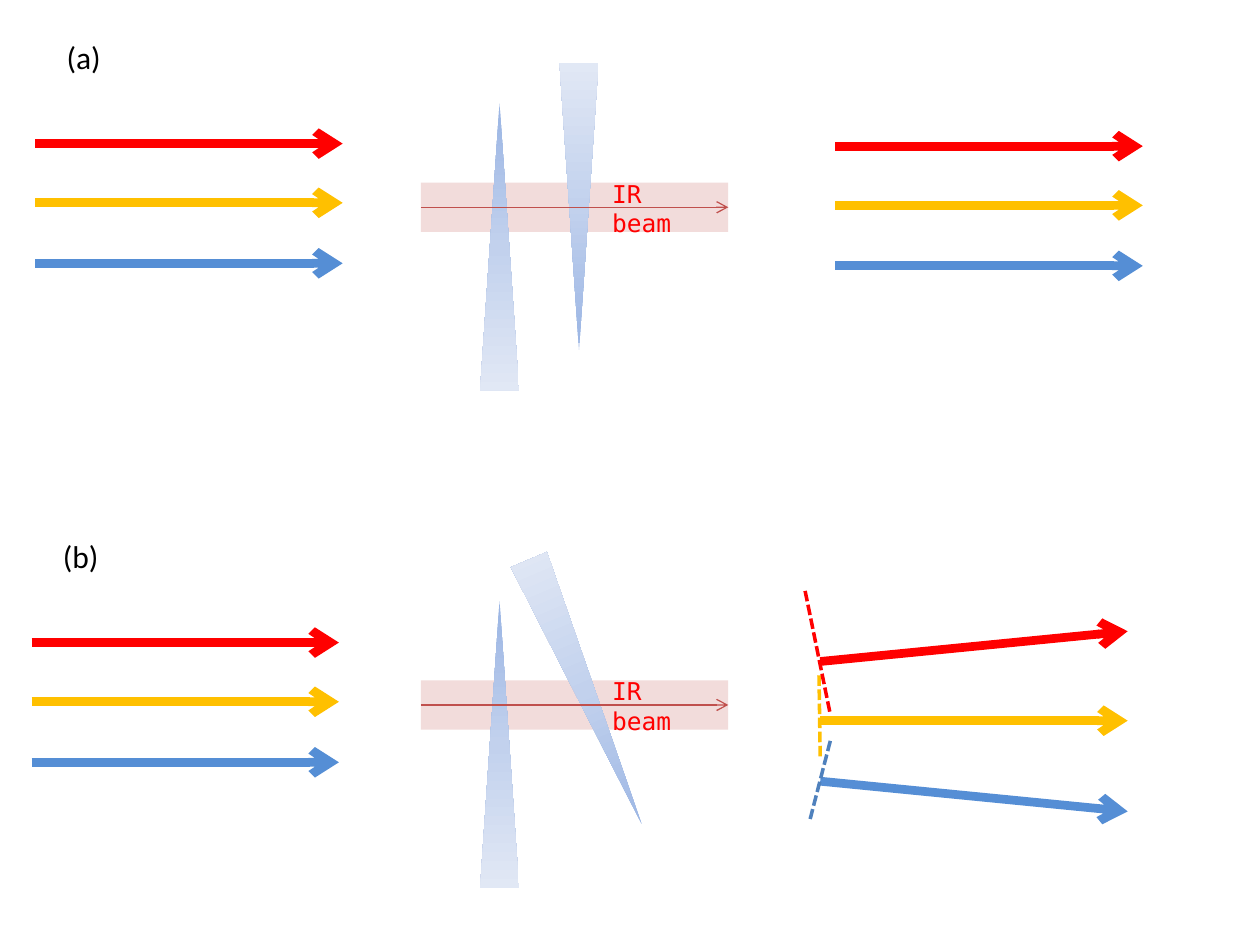
import copy
import pptx
import pptx.dml.color
import pptx.enum.dml
import pptx.enum.shapes
import pptx.oxml
import pptx.oxml.ns
import pptx.util

PX = 9144
THEME = {
    "red": "FF0000", "yellow": "FFC000", "blue": "558ED5", "front": "4F81BD",
    "beam": "F2DCDB", "axis": "C0504D", "black": "000000",
    "glass": ("9AB5E4", "C2D1ED", "E1E8F5"),
    "label_font": "Calibri", "label_size": 18,
    "beam_font": "DejaVu Sans Mono", "beam_size": 14,
    "ray_width": 5, "front_width": 2, "axis_width": 0.75,
}
RGB = pptx.dml.color.RGBColor.from_string
SHAPE = pptx.enum.shapes.MSO_SHAPE

prs = pptx.Presentation()
prs.slide_width = 1000 * PX
prs.slide_height = 750 * PX
s = prs.slides.add_slide(prs.slide_layouts[6])


def add_line(x1, y1, x2, y2, color, width, arrow=True):
    ends = [v * PX for v in (x1, y1, x2, y2)]
    c = s.shapes.add_connector(pptx.enum.shapes.MSO_CONNECTOR.STRAIGHT, *ends)
    c.line.color.rgb = RGB(THEME[color])
    c.line.width = pptx.util.Pt(THEME[width])
    if arrow:
        ln = c.line._get_or_add_ln()
        tail = pptx.oxml.parse_xml(
            '<a:tailEnd %s type="arrow"/>' % pptx.oxml.ns.nsdecls("a"))
        ln.append(tail)
    else:
        c.line.dash_style = pptx.enum.dml.MSO_LINE.SQUARE_DOT
    c._element.spPr.append(pptx.oxml.parse_xml(
        "<a:effectLst %s/>" % pptx.oxml.ns.nsdecls("a")))
    return c


def add_text(x, y, w, h, text, kind, color, wrap):
    tf = s.shapes.add_textbox(x * PX, y * PX, w * PX, h * PX).text_frame
    tf.word_wrap = wrap
    tf.auto_size = pptx.enum.text.MSO_AUTO_SIZE.SHAPE_TO_FIT_TEXT
    r = tf.paragraphs[0].add_run()
    r.text = text
    r.font.name = THEME[kind + "_font"]
    r.font.size = pptx.util.Pt(THEME[kind + "_size"])
    r.font.color.rgb = RGB(THEME[color])


for top, wedges in (
    (145, ((444, 50, 180), (381, 82, 0))),
    (540, ((449, 435, 156.9), (381, 477, 0))),
):
    beam = s.shapes.add_shape(SHAPE.RECTANGLE, 334 * PX, top * PX, 244 * PX, 39 * PX)
    beam.fill.solid()
    beam.fill.fore_color.rgb = RGB(THEME["beam"])
    beam.line.fill.background()
    beam.shadow.inherit = False

    for x, y, angle in wedges:
        sp = s.shapes.add_shape(
            SHAPE.ISOSCELES_TRIANGLE, x * PX, y * PX, 31 * PX, 228 * PX)
        sp.rotation = angle
        sp.fill.gradient()
        sp.fill.gradient_angle = 270
        stops = sp._element.spPr.find(".//" + pptx.oxml.ns.qn("a:gsLst"))
        stops.append(copy.deepcopy(stops[-1]))
        for i, stop in enumerate(sp.fill.gradient_stops):
            stop.position = i / 2
            stop.color.rgb = RGB(THEME["glass"][i])
        sp.line.fill.background()
        sp.shadow.inherit = False

    axis = add_line(334, top + 20, 578, top + 20, "axis", "axis_width")
    axis.begin_connect(beam, 1)
    axis.end_connect(beam, 3)
    add_text(476, top - 8, 94, 34, "IR beam", "beam", "red", True)

for x, y, spread in ((28, 114, 0), (663, 116, 0), (25, 510, 0), (651, 525, 24)):
    for i, color in enumerate(("red", "yellow", "blue")):
        start = y + i * 95 // 2
        add_line(x, start, x + 244, start + (i - 1) * spread, color, "ray_width")

for x1, y1, x2, y2, color in (
    (659, 588, 643, 650, "front"),
    (650, 536, 651, 603, "yellow"),
    (639, 469, 659, 567, "red"),
):
    add_line(x1, y1, x2, y2, color, "front_width", arrow=False)

add_text(43, 25, 48, 40, "(a)", "label", "black", False)
add_text(40, 421, 50, 40, "(b)", "label", "black", True)

prs.save("out.pptx")
